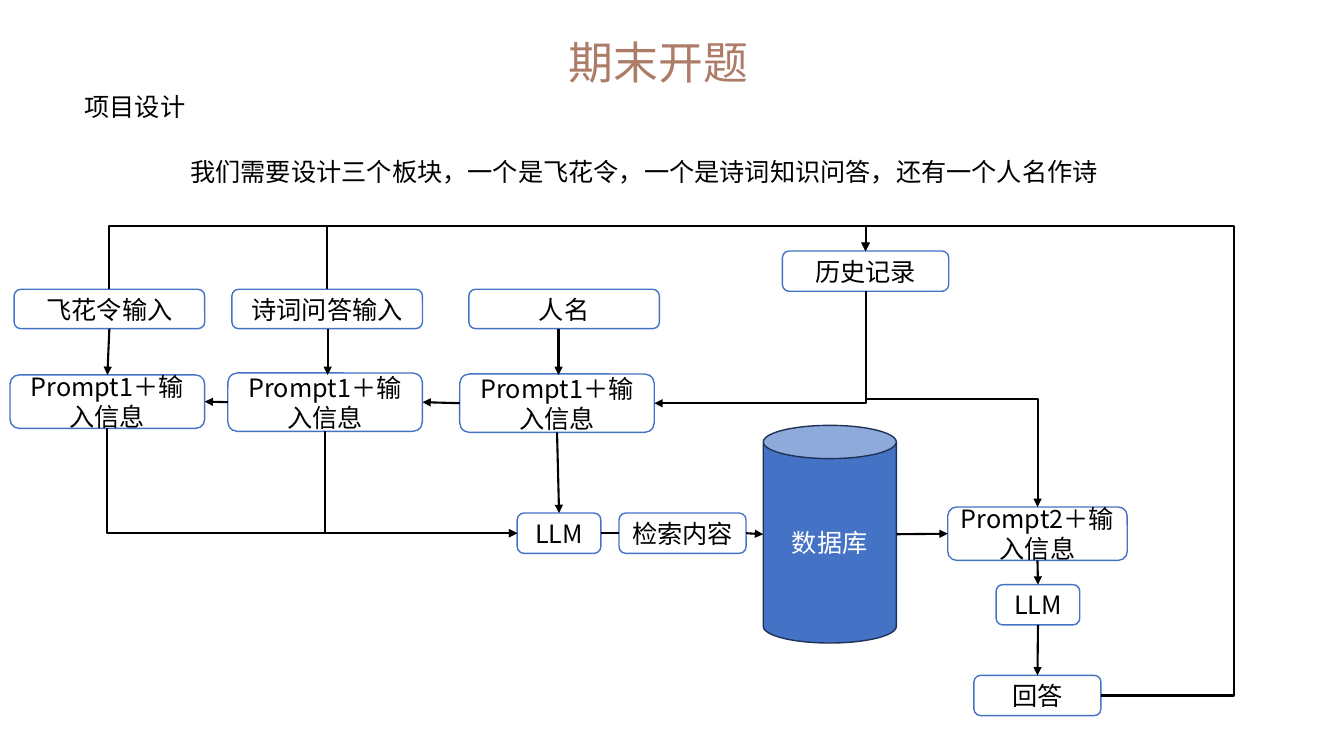
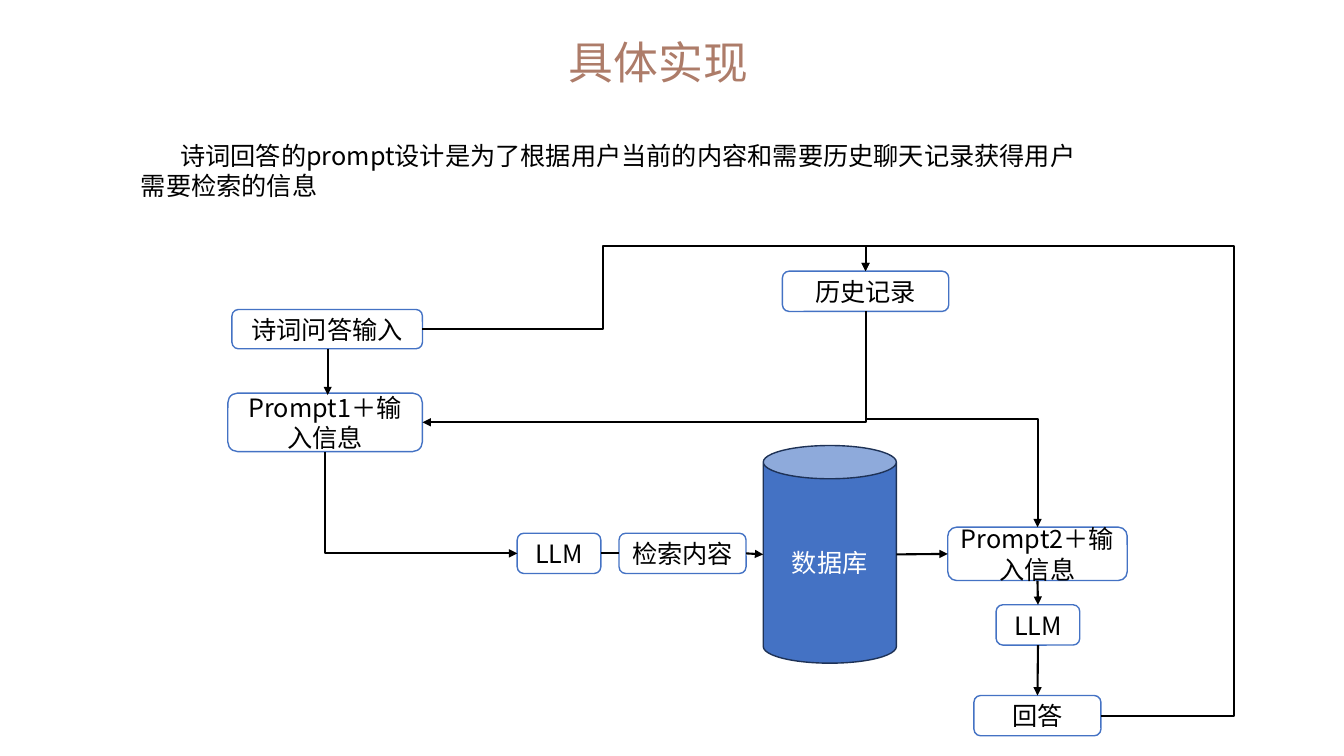
"""Two slides that chart how a poetry assistant answers its users."""
import pptx
import pptx.util
import pptx.dml.color
import pptx.enum.shapes
import pptx.enum.text
import pptx.oxml.ns
from dataclasses import dataclass
from lxml import etree


@dataclass(frozen=True)
class Theme:
    title: str = "AD7C69"
    text: str = "000000"
    paper: str = "FFFFFF"
    accent: str = "4472C4"
    accent_dark: str = "1E3256"
    title_font: str = "Arial"
    body_font: str = "Noto Sans CJK SC"
    title_size: int = 32
    body_size: int = 18
    border: float = 1
    link: float = 1.5


THEME = Theme()
TOP, LEFT, BOTTOM, RIGHT = range(4)
INPUT = (1.89, 0.39)
PROMPT, PROMPT_LOW = (1.93, 0.58), (1.93, 0.53)
LLM, LABEL = (0.83, 0.4), (1.26, 0.4)
BUS_TOP, BUS_RIGHT, BRANCH = 2.24, 12.24, 3.96
FEED_TOP, FEED_BOTTOM = 3.26, 3.72

NODES = {
    "verse_input": ("飞花令输入", 0.14, 2.87, INPUT),
    "quiz_input": ("诗词问答输入", 2.3, 2.87, INPUT),
    "name_input": ("人名", 4.65, 2.87, INPUT),
    "verse_prompt": ("Prompt1＋输入信息", 0.1, 3.72, PROMPT_LOW),
    "quiz_prompt": ("Prompt1＋输入信息", 2.26, 3.7, PROMPT),
    "name_prompt": ("Prompt1＋输入信息", 4.56, 3.71, PROMPT),
    "history": ("历史记录", 7.76, 2.49, (1.65, 0.4)),
    "search_llm": ("LLM", 5.13, 5.09, LLM),
    "search": ("检索内容", 6.14, 5.09, LABEL),
    "database": ("数据库", 7.57, 4.22, (1.32, 2.16)),
    "answer_prompt": ("Prompt2＋输入信息", 9.4, 5.03, (1.78, 0.53)),
    "answer_llm": ("LLM", 9.88, 5.8, LLM),
    "answer": ("回答", 9.66, 6.7, LABEL),
}
SHARED_STRAIGHT = [
    ("search_llm", RIGHT, "search", LEFT),
    ("search", RIGHT, "database", LEFT),
    ("database", RIGHT, "answer_prompt", LEFT),
    ("answer_prompt", BOTTOM, "answer_llm", TOP),
    ("answer_llm", BOTTOM, "answer", TOP),
]
SHARED_BENT = [
    ("quiz_prompt", BOTTOM, "search_llm", LEFT, ()),
    ("history", BOTTOM, "answer_prompt", TOP, (BRANCH,)),
    ("answer", RIGHT, "history", TOP, (BUS_RIGHT, BUS_TOP)),
]
SLIDES = [
    {
        "title": "期末开题",
        "texts": [
            ("项目设计", (0.74, 0.86, 10.84, 0.4), 0),
            ("我们需要设计三个板块，一个是飞花令，一个是诗词知识问答，还有一个人名作诗",
             (1.79, 1.5, 10.56, 0.4), 0),
        ],
        "drop": 0,
        "omit": (),
        "feeds": (3.25, 5.54),
        "straight": [
            ("verse_input", BOTTOM, "verse_prompt", TOP),
            ("name_prompt", LEFT, "quiz_prompt", RIGHT),
            ("quiz_prompt", LEFT, "verse_prompt", RIGHT),
            ("name_prompt", BOTTOM, "search_llm", TOP),
        ],
        "bent": [
            ("history", BOTTOM, "name_prompt", RIGHT, ()),
            ("verse_prompt", BOTTOM, "search_llm", LEFT, ()),
            ("verse_input", TOP, "history", TOP, (BUS_TOP,)),
            ("quiz_input", TOP, "history", TOP, (BUS_TOP,)),
        ],
    },
    {
        "title": "具体实现",
        "texts": [
            ("诗词回答的prompt设计是为了根据用户当前的内容和需要历史聊天记录获得用户需要检索的信息",
             (1.3, 1.34, 9.7, 0.71), 0.39),
        ],
        "drop": 0.2,
        "omit": ("verse_input", "verse_prompt", "name_input", "name_prompt"),
        "feeds": (3.25,),
        "straight": [],
        "bent": [
            ("history", BOTTOM, "quiz_prompt", RIGHT, ()),
            ("quiz_input", RIGHT, "history", TOP, (5.98, BUS_TOP)),
        ],
    },
]


def inches(*values):
    return [pptx.util.Inches(v) for v in values]


def rgb(value):
    return pptx.dml.color.RGBColor.from_string(value)


def write(shape, text, size, font, color, centred=True, indent=0):
    tf = shape.text_frame
    tf.word_wrap = True
    p = tf.paragraphs[0]
    p.text = text
    p.font.size, p.font.name = pptx.util.Pt(size), font
    p.font.color.rgb = rgb(color)
    align = pptx.enum.text.PP_ALIGN
    p.alignment = align.CENTER if centred else align.LEFT
    if indent:
        p._p.get_or_add_pPr().set("indent", str(pptx.util.Inches(indent)))


def add_node(s, name, drop):
    text, x, y, size = NODES[name]
    is_store = name == "database"
    kinds = pptx.enum.shapes.MSO_SHAPE
    sp = s.shapes.add_shape(kinds.CAN if is_store else kinds.ROUNDED_RECTANGLE,
                            *inches(x, y + drop, *size))
    sp.shadow.inherit = False
    sp.fill.solid()
    sp.fill.fore_color.rgb = rgb(THEME.accent if is_store else THEME.paper)
    sp.line.color.rgb = rgb(THEME.accent_dark if is_store else THEME.accent)
    sp.line.width = pptx.util.Pt(THEME.border)
    sp.text_frame.vertical_anchor = pptx.enum.text.MSO_ANCHOR.MIDDLE
    write(sp, text, THEME.body_size, THEME.body_font,
          THEME.paper if is_store else THEME.text)
    return sp


def side_point(name, side, drop):
    _, x, y, (w, h) = NODES[name]
    across, down = ((0.5, 0), (0, 0.5), (0.5, 1), (1, 0.5))[side]
    return x + w * across, y + h * down + drop


def add_line(s, start, end, arrow=True, elbow=False):
    kinds = pptx.enum.shapes.MSO_CONNECTOR
    c = s.shapes.add_connector(kinds.ELBOW if elbow else kinds.STRAIGHT,
                               *inches(*start, *end))
    c.line.color.rgb = rgb(THEME.text)
    c.line.width = pptx.util.Pt(THEME.link)
    qn = pptx.oxml.ns.qn
    if arrow:
        etree.SubElement(c.line._get_or_add_ln(), qn("a:tailEnd"), type="triangle")
    etree.SubElement(c._element.spPr, qn("a:effectLst"))
    return c


def add_bent(s, source, out_side, target, in_side, turns, drop):
    start = side_point(source, out_side, drop)
    end = side_point(target, in_side, drop)
    c = add_line(s, start, end, elbow=True)
    dx, dy = end[0] - start[0], end[1] - start[1]
    vertical = out_side in (TOP, BOTTOM)
    flip_h, flip_v = dx < 0, dy < 0
    if vertical:
        c.rotation = 270 if dx > 0 and dy > 0 else 90
        flip_h, flip_v = dx > 0, dx > 0 and dy < 0
        w, h = abs(dy), abs(dx)
        mid_x, mid_y = start[0] + dx / 2, start[1] + dy / 2
        c.left, c.top, c.width, c.height = inches(mid_x - w / 2, mid_y - h / 2, w, h)
    qn = pptx.oxml.ns.qn
    xfrm = c._element.spPr.find(qn("a:xfrm"))
    xfrm.set("flipH", str(int(flip_h)))
    xfrm.set("flipV", str(int(flip_v)))
    geom = c._element.spPr.find(qn("a:prstGeom"))
    geom.set("prst", f"bentConnector{len(turns) + 2}")
    guides = geom.find(qn("a:avLst"))
    for i, turn in enumerate(turns):
        axis = (i + vertical) % 2
        share = (turn + drop * axis - start[axis]) / (end[axis] - start[axis])
        etree.SubElement(guides, qn("a:gd"), name=f"adj{i + 1}",
                         fmla=f"val {round(share * 100000)}")


def add_slide(prs, content):
    s = prs.slides.add_slide(prs.slide_layouts[6])
    drop = content["drop"]
    title = s.shapes.add_textbox(*inches(4.26, 0.3, 4.54, 0.64))
    write(title, content["title"], THEME.title_size, THEME.title_font, THEME.title)
    for text, place, indent in content["texts"]:
        write(s.shapes.add_textbox(*inches(*place)), text, THEME.body_size,
              THEME.body_font, THEME.text, False, indent)
    nodes = {n: add_node(s, n, drop) for n in NODES if n not in content["omit"]}
    for source, out_side, target, in_side in SHARED_STRAIGHT + content["straight"]:
        c = add_line(s, side_point(source, out_side, drop),
                     side_point(target, in_side, drop), arrow=target != "search")
        c.begin_connect(nodes[source], out_side)
        c.end_connect(nodes[target], in_side)
    for x in content["feeds"]:
        add_line(s, (x, FEED_TOP + drop), (x, FEED_BOTTOM + drop))
    for link in SHARED_BENT + content["bent"]:
        add_bent(s, *link, drop)


def main():
    prs = pptx.Presentation()
    prs.slide_width, prs.slide_height = inches(13.33, 7.5)
    for content in SLIDES:
        add_slide(prs, content)
    prs.save("out.pptx")


if __name__ == "__main__":
    main()
